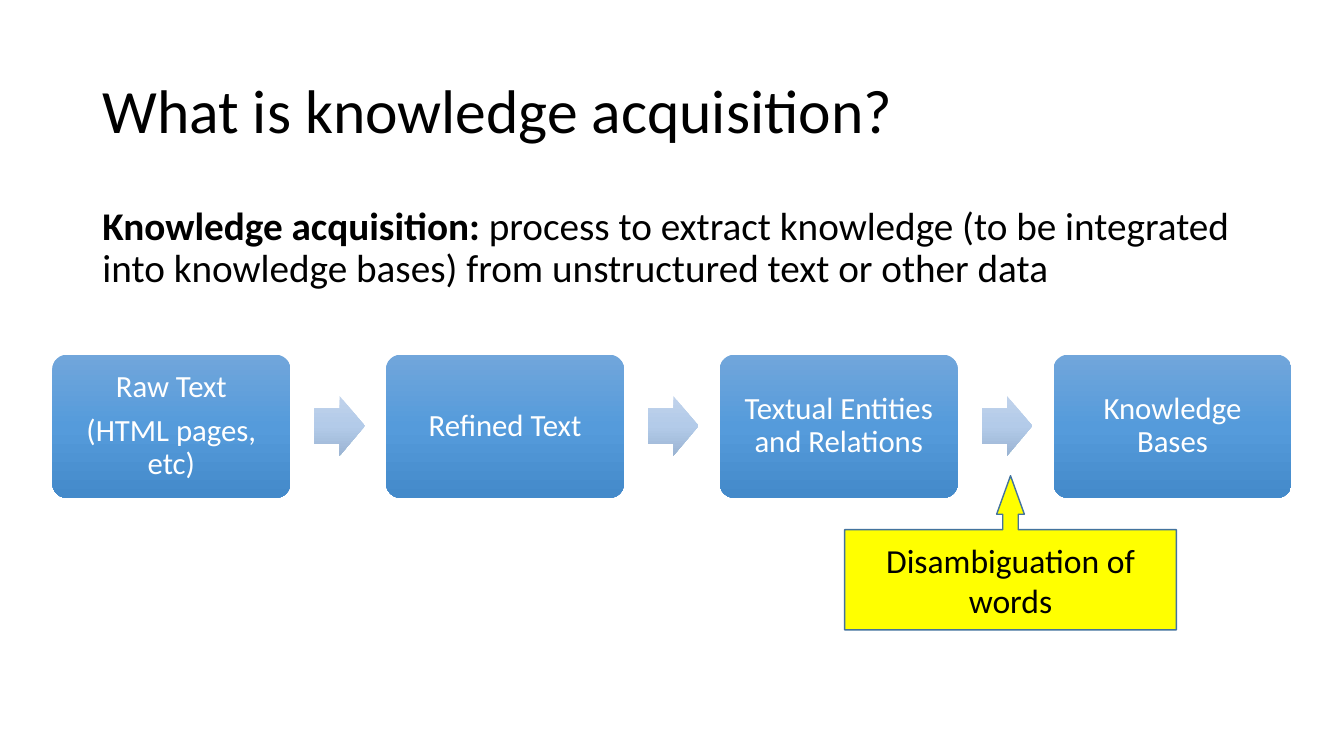
from copy import deepcopy

from pptx import Presentation, util as u
from pptx.dml.color import RGBColor
from pptx.enum import shapes, text

BLACK = RGBColor(0x00, 0x00, 0x00)
WHITE = RGBColor(0xFF, 0xFF, 0xFF)
YELLOW = RGBColor(0xFF, 0xFF, 0x00)
EDGE = RGBColor(0x43, 0x73, 0x9E)
BLUES = [RGBColor(0x71, 0xA6, 0xDB), RGBColor(0x55, 0x9B, 0xDB), RGBColor(0x44, 0x8A, 0xCA)]
PALES = [RGBColor(0xC0, 0xD2, 0xEB), RGBColor(0xB3, 0xCB, 0xE9), RGBColor(0x9B, 0xB4, 0xD3)]
STEPS = ["Raw Text\n(HTML pages, etc)", "Refined Text",
         "Textual Entities and Relations", "Knowledge Bases"]


class Deck:
    """Draw styled elements on a slide divided into 100 columns and 100 rows."""

    font = "Calibri"

    def __init__(self):
        self.prs = Presentation()
        self.prs.slide_width = u.Inches(13.33)
        self.prs.slide_height = u.Inches(7.5)
        self.slide = self.prs.slides.add_slide(self.prs.slide_layouts[6])

    def place(self, col, row, wide, high):
        x, y = self.prs.slide_width / 100, self.prs.slide_height / 100
        return [round(n) for n in (col * x, row * y, wide * x, high * y)]

    def style(self, frame, size, color, align, lead=1.0, after=0.0):
        frame.word_wrap = True
        for par in frame.paragraphs:
            par.alignment = align
            par.line_spacing = lead
            par.space_after = u.Pt(after)
            for run in par.runs:
                run.font.name = self.font
                run.font.size = u.Pt(size)
                run.font.color.rgb = color

    def label(self, area, words, size, anchor, lead=""):
        frame = self.slide.shapes.add_textbox(*self.place(*area)).text_frame
        frame.vertical_anchor = anchor
        frame.text = lead or words
        if lead:
            par = frame.paragraphs[0]
            par.runs[0].font.bold = True
            par.add_run().text = words
        self.style(frame, size, BLACK, text.PP_ALIGN.LEFT, 0.9)

    def shape(self, kind, area, adjust):
        item = self.slide.shapes.add_shape(kind, *self.place(*area))
        item.shadow.inherit = False
        for i, value in enumerate(adjust):
            item.adjustments[i] = value
        item.line.fill.background()
        item.text_frame.vertical_anchor = text.MSO_ANCHOR.MIDDLE
        return item

    def shade(self, item, tones):
        fill = item.fill
        fill.gradient()
        fill.gradient_angle = 270
        first = item.element.spPr.gradFill.gsLst[0]
        first.addnext(deepcopy(first))
        for i, (stop, tone) in enumerate(zip(fill.gradient_stops, tones)):
            stop.position = i / 2
            stop.color.rgb = tone

    def step(self, area, words):
        item = self.shape(shapes.MSO_SHAPE.ROUNDED_RECTANGLE, area, [0.1])
        self.shade(item, BLUES)
        frame = item.text_frame
        frame.margin_left = frame.margin_right = u.Inches(0.09)
        frame.margin_top = frame.margin_bottom = u.Inches(0.09)
        frame.text = words
        self.style(frame, 22, WHITE, text.PP_ALIGN.CENTER, 0.9, 7.7)

    def arrow(self, area):
        item = self.shape(shapes.MSO_SHAPE.RIGHT_ARROW, area, [0.6, 0.5])
        self.shade(item, PALES)

    def note(self, area, words):
        item = self.shape(shapes.MSO_SHAPE.UP_ARROW_CALLOUT, area, [0.1, 0.09, 0.25, 0.65])
        item.fill.solid()
        item.fill.fore_color.rgb = YELLOW
        item.line.color.rgb = EDGE
        item.line.width = u.Pt(1)
        item.text_frame.text = words
        self.style(item.text_frame, 24, BLACK, text.PP_ALIGN.CENTER)


def main():
    deck = Deck()
    deck.label((6.88, 5.33, 86.25, 19.33), "What is knowledge acquisition?",
               44, text.MSO_ANCHOR.MIDDLE)
    deck.label((6.88, 26.67, 86.25, 63.47),
               "process to extract knowledge (to be integrated into knowledge bases) "
               "from unstructured text or other data",
               28, text.MSO_ANCHOR.TOP, "Knowledge acquisition: ")
    pitch = 24.83
    for i, words in enumerate(STEPS):
        if i:
            deck.arrow((23.4 + (i - 1) * pitch, 52.4, 3.75, 7.87))
        deck.step((3.9 + i * pitch, 46.93, 17.7, 18.93), words)
    deck.note((62.85, 62.93, 24.68, 20.4), "Disambiguation of words")
    deck.prs.save("out.pptx")


if __name__ == "__main__":
    main()
